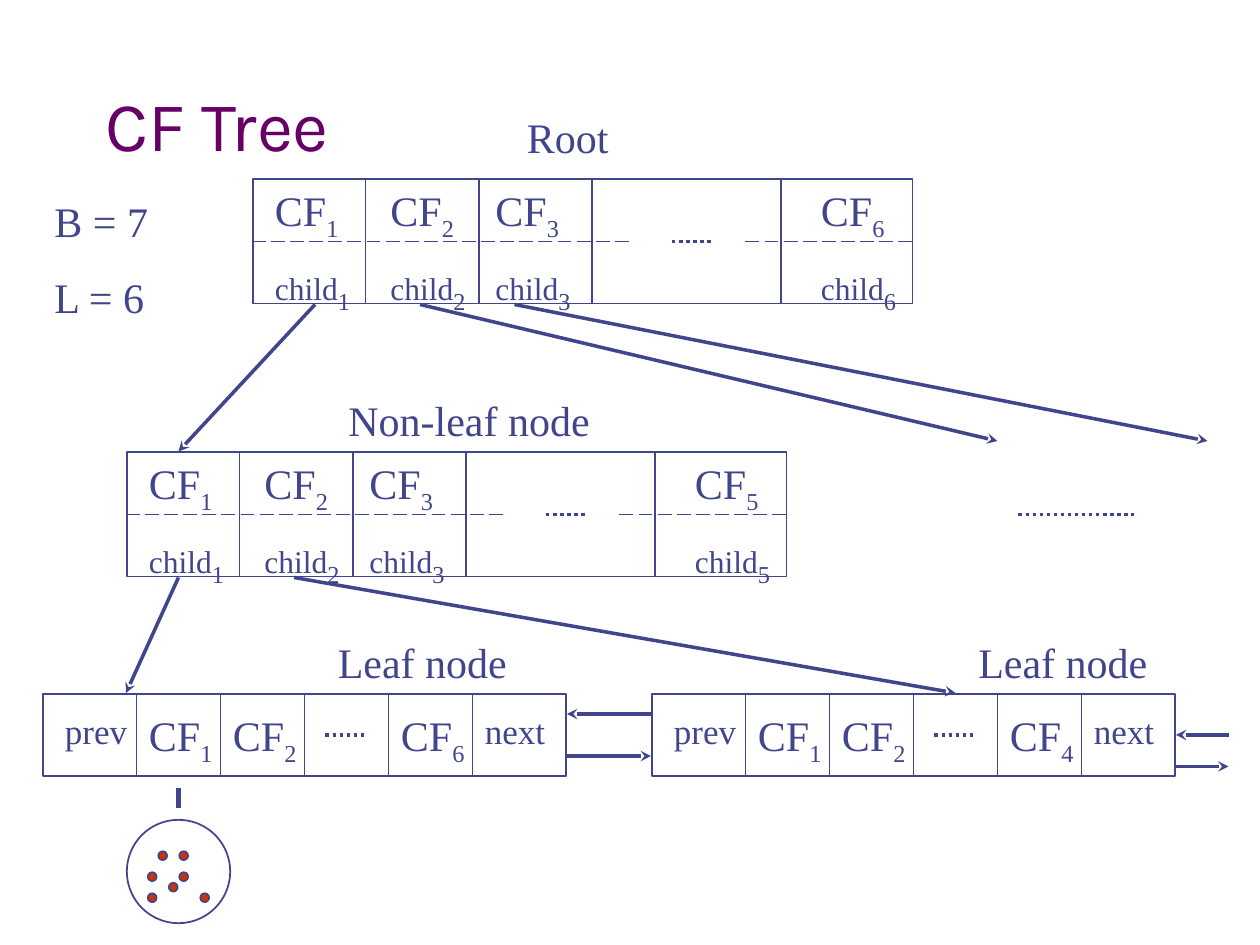
from lxml import etree
from pptx import Presentation
from pptx import util as u
from pptx.dml.color import RGBColor
from pptx.enum import dml, shapes, text
from pptx.oxml.ns import qn

COLORS = {"ink": "40458C", "title": "660066", "point": "CC3300"}
INK = RGBColor.from_string(COLORS["ink"])
SERIF = "Times New Roman"

prs = Presentation()
prs.slide_width, prs.slide_height = u.Inches(10), u.Inches(7.5)
slide = prs.slides.add_slide(prs.slide_layouts[5])
CELL = prs.slide_width // 120  # the slide is a grid of 120 columns and 90 rows


def add_line(x1, y1, x2, y2, width=1, dash=None, arrow=False):
    ends = [round(CELL * v) for v in (x1, y1, x2, y2)]
    line = slide.shapes.add_connector(shapes.MSO_CONNECTOR.STRAIGHT, *ends)
    line.line.color.rgb = INK
    line.line.width = u.Pt(width)
    if dash:
        line.line.dash_style = dash
    if arrow:
        etree.SubElement(line.line._get_or_add_ln(), qn("a:tailEnd"), type="stealth")
    etree.SubElement(line._element.spPr, qn("a:effectLst"))


def add_label(x, y, w, h, words, size=24, subscript=None):
    """Write one paragraph per line of words, with an optional 24 pt subscript."""
    box = slide.shapes.add_textbox(*[round(CELL * v) for v in (x, y, w, h)])
    frame = box.text_frame
    frame.word_wrap = True
    frame.auto_size = text.MSO_AUTO_SIZE.SHAPE_TO_FIT_TEXT
    frame.text = words
    for paragraph in frame.paragraphs[1:]:
        paragraph.space_before = u.Pt(15)
    for paragraph in frame.paragraphs:
        for run in paragraph.runs:
            run.font.size = u.Pt(size)
    if subscript:
        index = frame.paragraphs[0].add_run()
        index.text = str(subscript)
        index.font.size = u.Pt(24)
        index._r.get_or_add_rPr().set("baseline", "-25000")
    for paragraph in frame.paragraphs:
        for run in paragraph.runs:
            run.font.name = SERIF
            run.font.color.rgb = INK


# Title
title = slide.shapes.title
title.left, title.top = u.Inches(0.74), u.Inches(0.56)
title.width, title.height = u.Inches(2.47), u.Inches(0.8)
title.text_frame.text = "CF Tree"
title.text_frame.auto_size = text.MSO_AUTO_SIZE.NONE
title.text_frame.vertical_anchor = text.MSO_ANCHOR.BOTTOM
heading = title.text_frame.paragraphs[0]
heading.alignment = text.PP_ALIGN.LEFT
heading_font = heading.runs[0].font
heading_font.name, heading_font.size = "Karla", u.Pt(40)
heading_font.color.rgb = RGBColor.from_string(COLORS["title"])

# Node frames, the cluster circle and its points
RECT, OVAL = shapes.MSO_SHAPE.RECTANGLE, shapes.MSO_SHAPE.OVAL
points = [(15, 81), (17, 83), (17, 81), (14, 85), (14, 83), (16, 84), (19, 85)]
outlines = [(RECT, 24, 17, 63, 12, None), (RECT, 12, 43, 63, 12, None),
            (RECT, 4, 66, 50, 8, None), (RECT, 62, 66, 50, 8, None)]
outlines += [(OVAL, x, y, 1, 1, "point") for x, y in points]
outlines.append((OVAL, 12, 78, 10, 10, None))
for kind, x, y, w, h, fill in outlines:
    place = [round(CELL * v) for v in (x + 0.08, y + 0.08, w - 0.16, h - 0.16)]
    outline = slide.shapes.add_shape(kind, *place)
    outline.shadow.inherit = False
    outline.line.color.rgb = INK
    outline.line.width = u.Pt(1)
    if fill:
        outline.fill.solid()
        outline.fill.fore_color.rgb = RGBColor.from_string(COLORS[fill])
    else:
        outline.fill.background()

# Root and non-leaf node: entries over child pointers
DASH, DOTS = dml.MSO_LINE.LONG_DASH, dml.MSO_LINE.ROUND_DOT
for left, top, last in [(24, 17, 6), (12, 43, 5)]:
    middle = top + 6
    for divider in (10.8, 21.6, 32.4, 50.4):
        add_line(left + divider, top, left + divider, top + 12)
    add_line(left, middle, left + 36, middle, dash=DASH)
    add_line(left + 47, middle, left + 63, middle, dash=DASH)
    add_line(left + 40, middle, left + 44, middle, 2, DOTS)
    for offset, entry in [(1, 1), (12, 2), (22, 3), (53, last)]:
        add_label(left + offset, top, 9, 6.7, "CF", subscript=entry)
        add_label(left + offset, top + 7, 12, 6.7, "child", 18, entry)

# Leaf nodes: entries between prev and next
for left, last in [(4, 6), (62, 4)]:
    for divider in range(9, 42, 8):
        add_line(left + divider, 66, left + divider, 74)
    for offset, entry in [(9, 1), (17, 2), (33, last)]:
        add_label(left + offset, 67, 9, 6.7, "CF", subscript=entry)
    for offset, link in [(1, "prev"), (41, "next")]:
        add_label(left + offset, 67, 9, 5.2, link, 20)
    add_line(left + 27, 70, left + 31, 70, 2, DOTS)

# Arrows from parents to children, then between leaves
for arrow in [(30, 29, 17, 43), (40, 29, 95, 42), (49, 29, 115, 42),
              (17, 55, 12, 66), (28, 55, 91, 66),
              (62, 68, 54, 68), (54, 72, 62, 72),
              (112, 73, 117, 73), (117, 70, 112, 70)]:
    add_line(*arrow, width=2, arrow=True)
add_line(97, 49, 108, 49, 2, DOTS)
add_line(17, 75, 17, 77, 3)

# Parameters and node names
for x, y, w, h, words in [(4, 18, 14, 13.3, "B = 7\nL = 6"), (49, 10, 13, 6, "Root"),
                          (32, 37, 26, 6, "Non-leaf node"),
                          (31, 60, 19, 6, "Leaf node"), (92, 60, 19, 6, "Leaf node")]:
    add_label(x, y, w, h, words)

prs.save("out.pptx")
